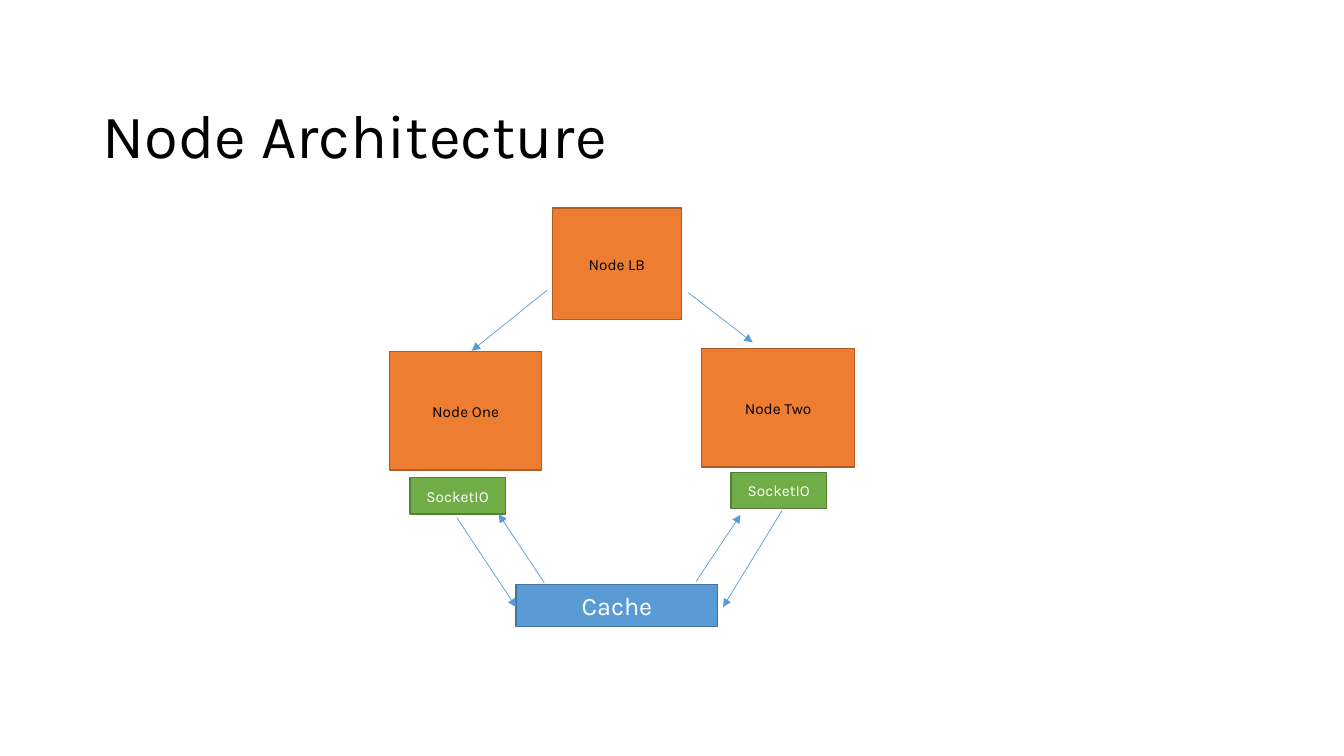
"""Build the Node Architecture slide."""
import dataclasses

import pptx
import pptx.dml.color
import pptx.enum.shapes
import pptx.enum.text
import pptx.oxml
import pptx.oxml.ns
import pptx.util


@dataclasses.dataclass(frozen=True)
class Theme:
    """Colours, type sizes and line widths."""
    font: str = "Karla"
    black: str = "000000"
    white: str = "FFFFFF"
    node: tuple = ("ED7D31", "AF5C24")
    socket: tuple = ("70AD47", "538035")
    store: tuple = ("5B9BD5", "43739E")
    arrow: str = "5B9BD5"
    title: int = 44
    large: int = 18
    small: int = 11
    edge: float = 1
    thin: float = 0.5


THEME = Theme()
WIDE = pptx.util.Inches(13.33)
HIGH = pptx.util.Inches(7.5)


def place(*shares):
    """Turn alternating x and y percentages of the slide into lengths."""
    return [round(share * (HIGH if i % 2 else WIDE) / 100)
            for i, share in enumerate(shares)]


def tint(code):
    """Turn a hex code into a colour."""
    return pptx.dml.color.RGBColor.from_string(code)


def write(shape, text, size, ink, align):
    """Set one vertically centred paragraph in a shape."""
    frame = shape.text_frame
    frame.word_wrap = True
    frame.vertical_anchor = pptx.enum.text.MSO_ANCHOR.MIDDLE
    line = frame.paragraphs[0]
    line.text = text
    line.alignment = align
    line.font.name = THEME.font
    line.font.size = pptx.util.Pt(size)
    line.font.color.rgb = tint(ink)
    return line


def head(slide, text, area):
    """Add the slide title."""
    box = slide.shapes.add_textbox(*place(*area))
    line = write(box, text, THEME.title, THEME.black,
                 pptx.enum.text.PP_ALIGN.LEFT)
    line.line_spacing = 0.9


def block(slide, text, area, paint, size, ink):
    """Add a labelled rectangle with a fill and an edge colour."""
    kind = pptx.enum.shapes.MSO_SHAPE.RECTANGLE
    box = slide.shapes.add_shape(kind, *place(*area))
    box.shadow.inherit = False
    fill, edge = paint
    box.fill.solid()
    box.fill.fore_color.rgb = tint(fill)
    box.line.color.rgb = tint(edge)
    box.line.width = pptx.util.Pt(THEME.edge)
    write(box, text, size, ink, pptx.enum.text.PP_ALIGN.CENTER)


def arrow(slide, start, end):
    """Add a thin arrow between two points."""
    kind = pptx.enum.shapes.MSO_CONNECTOR.STRAIGHT
    link = slide.shapes.add_connector(kind, *place(*start, *end))
    link.line.color.rgb = tint(THEME.arrow)
    link.line.width = pptx.util.Pt(THEME.thin)
    tip = pptx.oxml.parse_xml(
        f'<a:tailEnd {pptx.oxml.ns.nsdecls("a")} type="triangle"/>')
    flat = pptx.oxml.parse_xml(
        f'<a:effectLst {pptx.oxml.ns.nsdecls("a")}/>')
    link.line._get_or_add_ln().append(tip)
    link._element.spPr.append(flat)


def main():
    """Draw the slide and save it."""
    deck = pptx.Presentation()
    deck.slide_width, deck.slide_height = WIDE, HIGH
    slide = deck.slides.add_slide(deck.slide_layouts[6])
    head(slide, "Node Architecture", (6.9, 12.1, 86.3, 12.5))

    nodes = [("Node LB", (41.1, 27.5, 9.6, 14.8)),
             ("Node One", (29, 46.5, 11.3, 15.7)),
             ("Node Two", (52.2, 46.1, 11.4, 15.7))]
    for text, area in nodes:
        block(slide, text, area, THEME.node, THEME.small, THEME.black)
    for left, top in [(30.5, 63.2), (54.4, 62.5)]:
        block(slide, "SocketIO", (left, top, 7.1, 4.8),
              THEME.socket, THEME.small, THEME.white)
    block(slide, "Cache", (38.4, 77.3, 15, 5.6),
          THEME.store, THEME.large, THEME.white)

    links = [((40.7, 38.4), (35.1, 46.4)),
             ((51.2, 38.7), (56, 45.3)),
             ((34, 68.5), (38.4, 80.3)),
             ((40.5, 77.1), (37.1, 68)),
             ((58.2, 67.5), (53.8, 80.3)),
             ((51.8, 76.9), (55.1, 68.1))]
    for start, end in links:
        arrow(slide, start, end)
    deck.save("out.pptx")


main()
